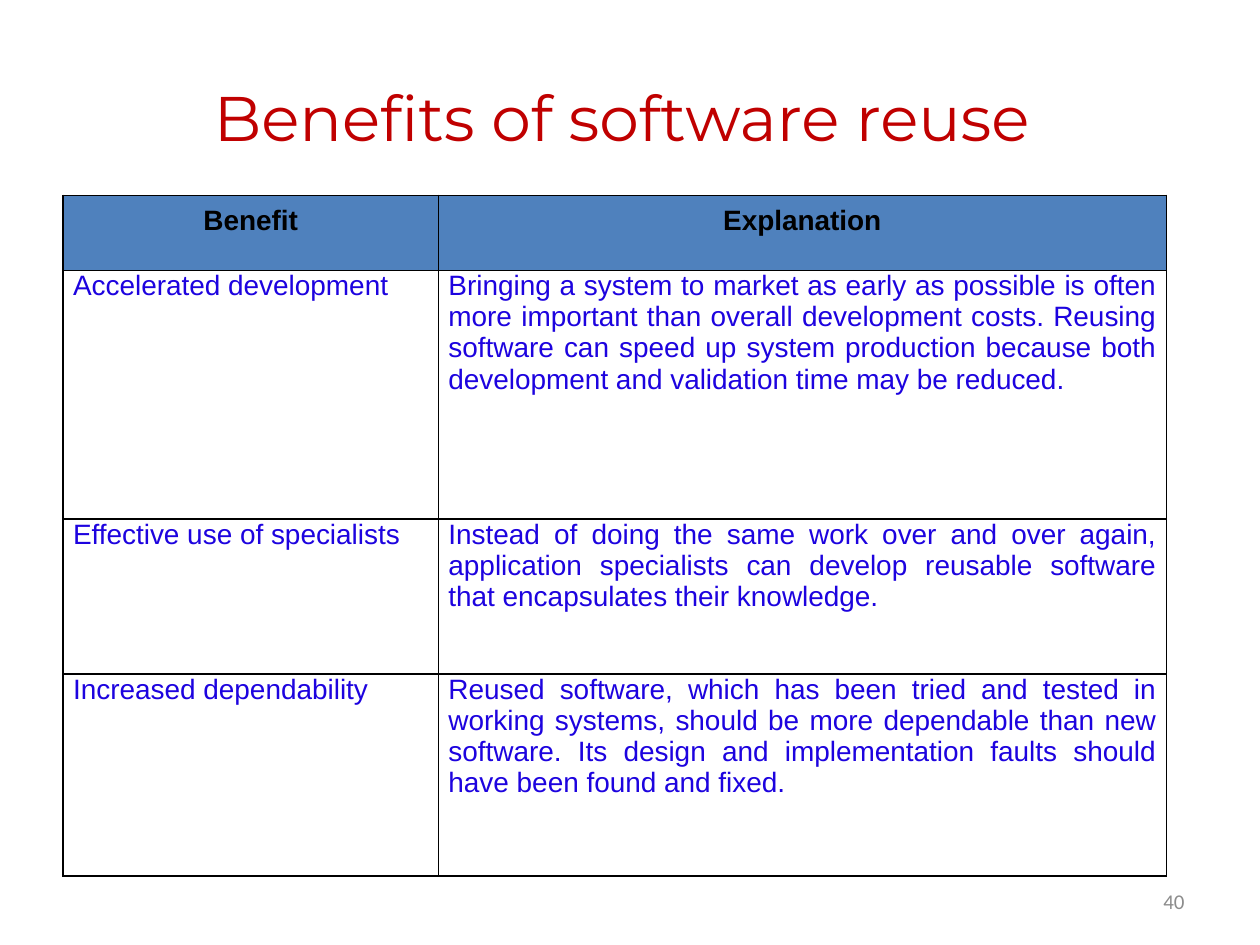
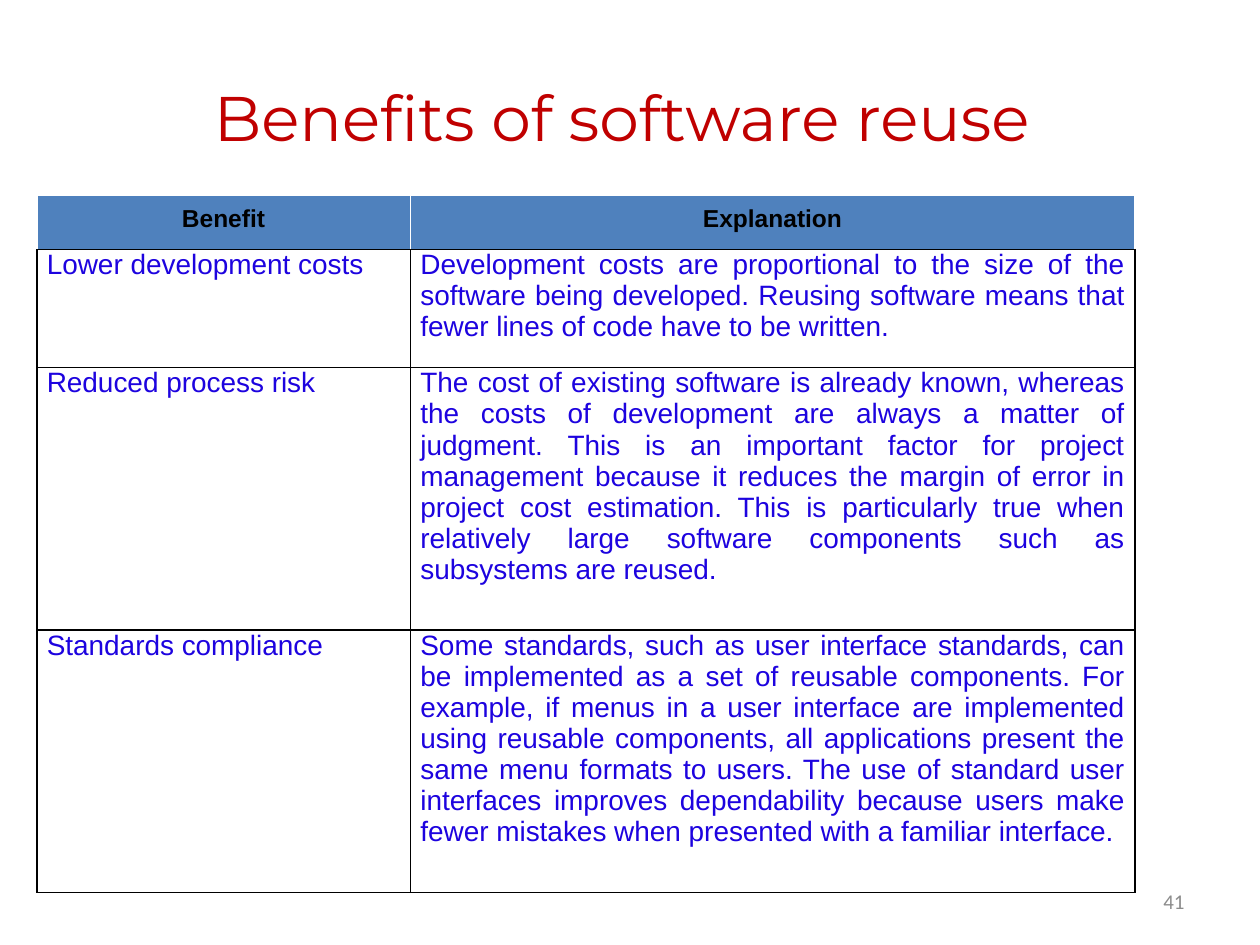
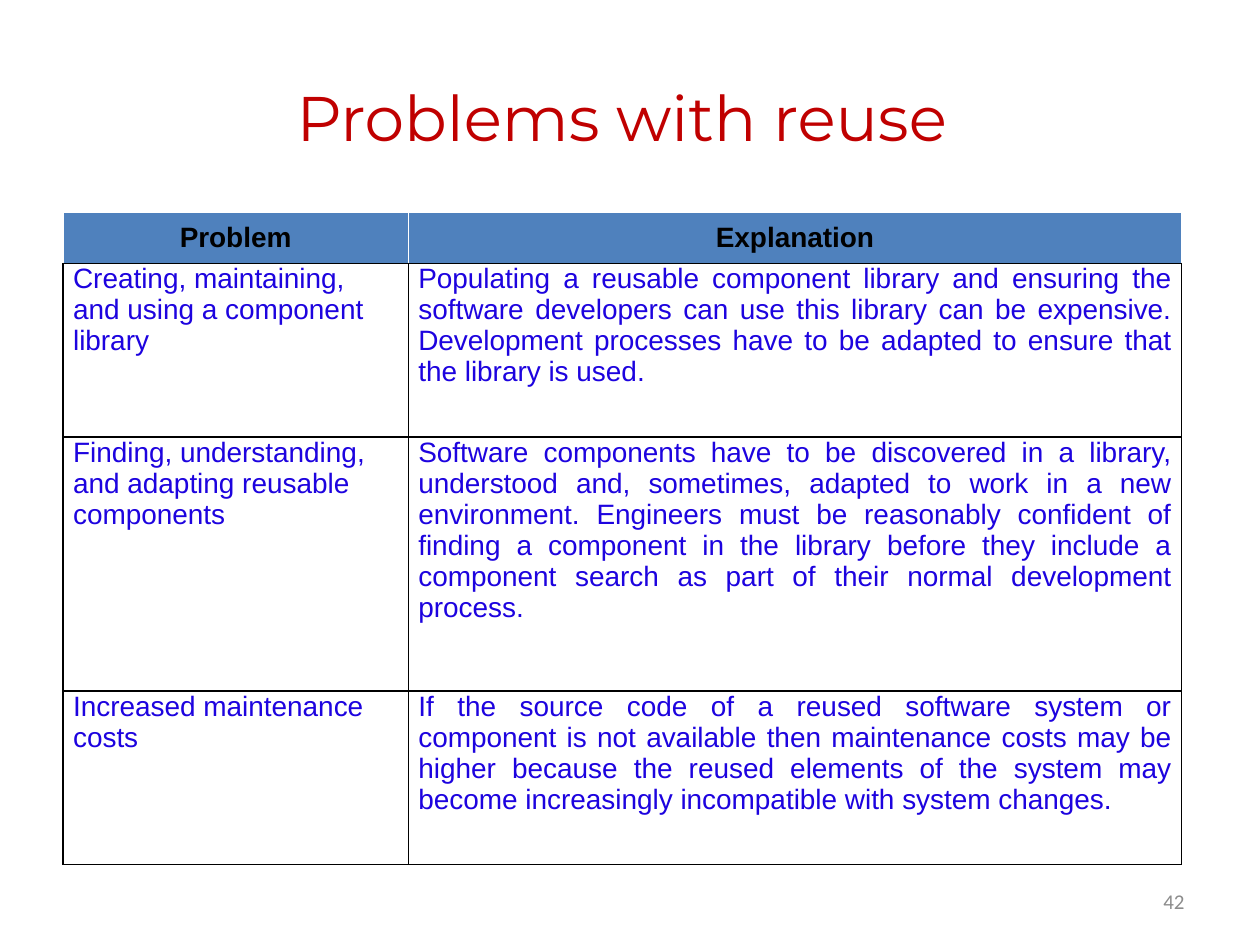
from pptx import Presentation
from pptx.dml.color import RGBColor as RGB
from pptx.enum.text import MSO_ANCHOR as ANC, MSO_AUTO_SIZE as FIT, PP_ALIGN as AL
from pptx.oxml import parse_xml
from pptx.oxml.ns import nsdecls
from pptx.util import Pt

HUES = {"title": "C00000", "head": "4F81BD", "ink": "000000",
        "body": "1D03DF", "page": "8C8C8C", "white": "FFFFFF"}
TITLE = (36, 21.6, 648, 90)
FOOT = (516, 500.5, 168, 29)
INSET = 5.76

DECK = [
    dict(title="Benefits of software reuse ", page="40", spot=(36, 111.6),
         cols=(214.5, 416), rows=(43, 142, 88.5, 115.5), edge="ink",
         size=16, side=AL.JUSTIFY, data=[
             ("Benefit", "Explanation"),
             ("Accelerated development",
              "Bringing a system to market as early as possible is often more important than "
              "overall development costs. Reusing software can speed up system production "
              "because both development and validation time may be reduced."),
             ("Effective use of specialists",
              "Instead of doing the same work over and over again, application specialists "
              "can develop reusable software that encapsulates their knowledge."),
             ("Increased dependability",
              "Reused software, which has been tried and tested in working systems, should be "
              "more dependable than new software. Its design and implementation faults should "
              "have been found and fixed. ")]),
    dict(title="Benefits of software reuse ", page="41", spot=(21, 111.6),
         cols=(213.5, 414), rows=(31, 67.5, 150, 150), edge="white",
         size=14, side=AL.JUSTIFY, data=[
             ("Benefit", "Explanation"),
             ("Lower development costs",
              "Development costs are proportional to the size of the software being developed. "
              "Reusing software means that fewer lines of code have to be written."),
             ("Reduced process risk",
              "The cost of existing software is already known, whereas the costs of development "
              "are always a matter of judgment. This is an important factor for project "
              "management because it reduces the margin of error in project cost estimation. "
              "This is particularly true when relatively large software components such as "
              "subsystems are reused."),
             ("Standards compliance",
              "Some standards, such as user interface standards, can be implemented as a set of "
              "reusable components. For example, if menus in a user interface are implemented "
              "using reusable components, all applications present the same menu formats to "
              "users. The use of standard user interfaces improves dependability because users "
              "make fewer mistakes when presented with a familiar interface.")]),
    dict(title="Problems with reuse ", page="42", spot=(36, 121.2),
         cols=(197.3, 442), rows=(29, 99.2, 145.2, 99.2), edge="white",
         size=16, side=AL.LEFT, data=[
             ("Problem", "Explanation"),
             ("Creating, maintaining, and using a component library",
              "Populating a reusable component library and ensuring the software developers can "
              "use this library can be expensive. Development processes have to be adapted to "
              "ensure that the library is used. "),
             ("Finding, understanding, and adapting reusable components",
              "Software components have to be discovered in a library, understood and, "
              "sometimes, adapted to work in a new environment. Engineers must be reasonably "
              "confident of finding a component in the library before they include a component "
              "search as part of their normal development process. "),
             ("Increased maintenance costs",
              "If the source code of a reused software system or component is not available "
              "then maintenance costs may be higher because the reused elements of the system "
              "may become increasingly incompatible with system changes.")]),
]


def write(frame, text, size, face, hue, side, bold=False):
    """Put one styled run in the first paragraph of a frame."""
    para = frame.paragraphs[0]
    para.alignment = side
    run = para.add_run()
    run.text = text
    font = run.font
    font.size, font.name, font.bold = Pt(size), face, bold
    font.color.rgb = RGB.from_string(HUES[hue])


def place(shape, box):
    """Move a shape to a box and centre its text vertically."""
    shape.left, shape.top, shape.width, shape.height = map(Pt, box)
    frame = shape.text_frame
    frame.word_wrap = True
    frame.auto_size = FIT.NONE
    frame.vertical_anchor = ANC.MIDDLE
    return frame


def rule(cell, hues):
    """Draw the left, right, top and bottom borders of a cell."""
    props = cell._tc.get_or_add_tcPr()
    for edge, hue in zip("LRTB", hues):
        props.append(parse_xml(
            f'<a:ln{edge} {nsdecls("a")} w="12700"><a:solidFill>'
            f'<a:srgbClr val="{HUES[hue]}"/></a:solidFill></a:ln{edge}>'))


def fill_cell(cell, text, head, size, side, edge):
    """Format one heading or body cell."""
    cell.margin_left = cell.margin_right = cell.margin_bottom = Pt(INSET)
    cell.margin_top = Pt(INSET if head else 0)
    cell.vertical_anchor = ANC.TOP
    rule(cell, [edge] * 3 + ["ink"] if head else ["ink"] * 4)
    if head:
        cell.fill.solid()
        cell.fill.fore_color.rgb = RGB.from_string(HUES["head"])
        write(cell.text_frame, text, size, "Arial", "ink", AL.CENTER, True)
    else:
        cell.fill.background()
        write(cell.text_frame, text, 16, "Arial", "body", side)


def add_grid(slide, spot, cols, rows, data, size, side, edge):
    """Add a two-column table with its top left corner at spot."""
    box = map(Pt, (*spot, sum(cols), sum(rows)))
    grid = slide.shapes.add_table(len(rows), len(cols), *box).table
    grid.horz_banding = False
    for col, width in zip(grid.columns, cols):
        col.width = Pt(width)
    for r, (row, height) in enumerate(zip(grid.rows, rows)):
        row.height = Pt(height)
        for c, text in enumerate(data[r]):
            lean = side if c == 0 else AL.JUSTIFY
            fill_cell(grid.cell(r, c), text, r == 0, size, lean, edge)


def add_page(deck, title, page, **grid):
    """Add a slide with a title, a table and a page number."""
    slide = deck.slides.add_slide(deck.slide_layouts[5])
    write(place(slide.shapes.title, TITLE), title, 36, "Montserrat", "title", AL.CENTER)
    add_grid(slide, **grid)
    foot = slide.shapes.add_textbox(*map(Pt, FOOT))
    write(place(foot, FOOT), page, 12, "Calibri", "page", AL.RIGHT)


def main():
    """Build and save the deck."""
    deck = Presentation()
    deck.slide_width, deck.slide_height = Pt(720), Pt(540)
    for item in DECK:
        add_page(deck, **item)
    deck.save("out.pptx")


if __name__ == "__main__":
    main()
